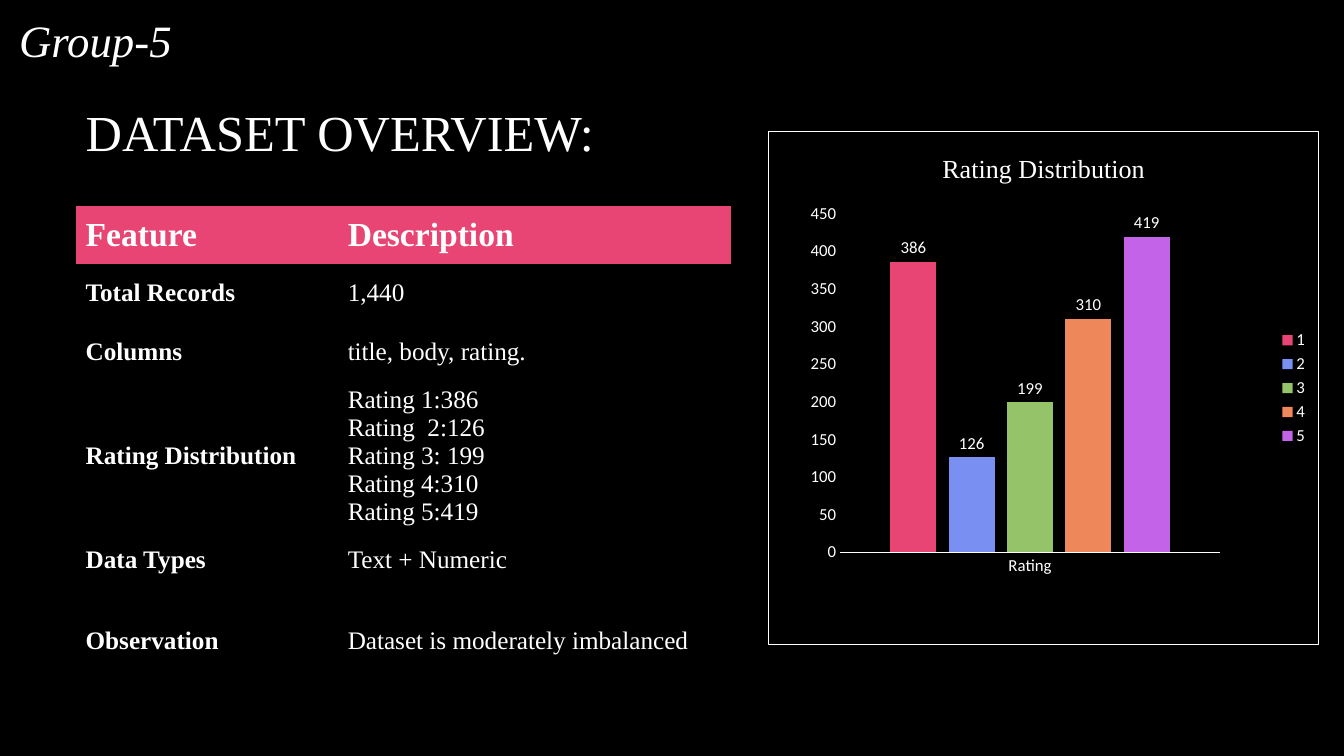
from lxml import etree
from pptx import Presentation
from pptx import util as u
from pptx.chart import data as chart_data
from pptx.dml.color import RGBColor
from pptx.enum import chart as charts, text
from pptx.oxml import parse_xml
from pptx.oxml.ns import nsdecls, qn

COLORS = {
    "background": "000000", "text": "FFFFFF", "header": "E84574",
    "1": "E84574", "2": "798FF2", "3": "95C369", "4": "EE875A", "5": "C363E8",
}
RATINGS = {"1": 386, "2": 126, "3": 199, "4": 310, "5": 419}
FEATURES = [
    ("Feature", "Description"),
    ("Total Records", "1,440"),
    ("Columns", "title, body, rating."),
    ("Rating Distribution",
     "Rating 1:386\vRating  2:126\vRating 3: 199\nRating 4:310\nRating 5:419"),
    ("Data Types", "Text + Numeric"),
    ("Observation", "Dataset is moderately imbalanced"),
]
COLUMN_WIDTHS = [187.2, 280.8]
ROW_HEIGHTS = [41.76, 41.76, 41.76, 104.4, 41.76, 73.44]
PLOT_LAYOUT = {"x": 0.13, "y": 0.16, "w": 0.69, "h": 0.66}
PLAIN_TABLE_STYLE = "{2D5ABB26-0587-4C30-8999-92F81FD0307C}"


def color(name):
    return RGBColor.from_string(COLORS[name])


class SlideBuilder:
    serif = "Times New Roman"
    sans = "Calibri"

    def __init__(self, deck):
        self.page = deck.slides.add_slide(deck.slide_layouts[5])
        fill = self.page.background.fill
        fill.solid()
        fill.fore_color.rgb = color("background")

    def style(self, font, size, family=serif, bold=False, italic=False):
        font.size = u.Pt(size)
        font.name = family
        font.bold = bold
        font.italic = italic
        font.color.rgb = color("text")

    def set_text(self, frame, words, size, **look):
        frame.text = words
        for para in frame.paragraphs:
            para.alignment = text.PP_ALIGN.LEFT
            for span in para.runs:
                self.style(span.font, size, **look)

    def title(self, words, left, top, width, height):
        box = self.page.shapes.title
        box.left, box.top = u.Pt(left), u.Pt(top)
        box.width, box.height = u.Pt(width), u.Pt(height)
        frame = box.text_frame
        frame.vertical_anchor = text.MSO_ANCHOR.MIDDLE
        frame.auto_size = text.MSO_AUTO_SIZE.NONE
        self.set_text(frame, words, 36)

    def label(self, words, left, top, width, height):
        box = self.page.shapes.add_textbox(
            u.Pt(left), u.Pt(top), u.Pt(width), u.Pt(height))
        box.text_frame.word_wrap = True
        box.text_frame.auto_size = text.MSO_AUTO_SIZE.SHAPE_TO_FIT_TEXT
        self.set_text(box.text_frame, words, 32, italic=True)

    def table(self, rows, left, top):
        table = self.page.shapes.add_table(
            len(rows), len(COLUMN_WIDTHS), u.Pt(left), u.Pt(top),
            u.Pt(sum(COLUMN_WIDTHS)), u.Pt(sum(ROW_HEIGHTS))).table
        table.horz_banding = False
        table._tbl.tblPr.find(qn("a:tableStyleId")).text = PLAIN_TABLE_STYLE
        for column, width in zip(table.columns, COLUMN_WIDTHS):
            column.width = u.Pt(width)
        for row, height in zip(table.rows, ROW_HEIGHTS):
            row.height = u.Pt(height)
        for i, row in enumerate(rows):
            for j, words in enumerate(row):
                cell = table.cell(i, j)
                cell.vertical_anchor = text.MSO_ANCHOR.MIDDLE
                if i == 0:
                    cell.fill.solid()
                    cell.fill.fore_color.rgb = color("header")
                else:
                    cell.fill.background()
                self.set_text(cell.text_frame, words, 18 if i else 24,
                              bold=i == 0 or j == 0)

    def column_chart(self, heading, category, values, left, top, width, height):
        source = chart_data.CategoryChartData()
        source.categories = [category]
        for name, value in values.items():
            source.add_series(name, [value])
        chart = self.page.shapes.add_chart(
            charts.XL_CHART_TYPE.COLUMN_CLUSTERED, u.Pt(left), u.Pt(top),
            u.Pt(width), u.Pt(height), source).chart
        self.style(chart.font, 10, self.sans)

        chart.has_title = True
        self.set_text(chart.chart_title.text_frame, heading, 18.6)
        chart.chart_title.text_frame.paragraphs[0].alignment = text.PP_ALIGN.CENTER
        chart.chart_title.include_in_layout = False

        chart.has_legend = True
        chart.legend.position = charts.XL_LEGEND_POSITION.RIGHT
        chart.legend.include_in_layout = False
        self.style(chart.legend.font, 12, self.sans)

        for axis in (chart.category_axis, chart.value_axis):
            axis.has_major_gridlines = False
            axis.major_tick_mark = charts.XL_TICK_MARK.NONE
            axis.minor_tick_mark = charts.XL_TICK_MARK.NONE
            self.style(axis.tick_labels.font, 12, self.sans)
        chart.category_axis.format.line.color.rgb = color("text")
        chart.category_axis.format.line.width = u.Pt(0.75)
        chart.value_axis.format.line.fill.background()
        chart.value_axis.minimum_scale = 0
        chart.value_axis.maximum_scale = 450
        chart.value_axis.major_unit = 50

        plot = chart.plots[0]
        plot.gap_width = 219
        plot.overlap = -27
        plot.vary_by_categories = False
        for series in plot.series:
            series.format.fill.solid()
            series.format.fill.fore_color.rgb = color(series.name)
            labels = series.data_labels
            labels.show_value = True
            labels.position = charts.XL_LABEL_POSITION.OUTSIDE_END
            self.style(labels.font, 12, self.sans)
        self.frame_chart(chart)

    def frame_chart(self, chart):
        """Fix the inner plot area and outline the whole chart."""
        area = chart._chartSpace.find(qn("c:chart"))
        plot_area = area.find(qn("c:plotArea"))
        for old in plot_area.findall(qn("c:layout")):
            plot_area.remove(old)
        layout = etree.Element(qn("c:layout"))
        manual = etree.SubElement(layout, qn("c:manualLayout"))
        settings = {"layoutTarget": "inner", "xMode": "edge", "yMode": "edge",
                    **PLOT_LAYOUT}
        for name, value in settings.items():
            etree.SubElement(manual, qn(f"c:{name}"), val=str(value))
        plot_area.insert(0, layout)
        area.addnext(parse_xml(
            f'<c:spPr {nsdecls("c", "a")}><a:noFill/><a:ln w="{u.Pt(0.75)}">'
            f'<a:solidFill><a:srgbClr val="{COLORS["text"]}"/></a:solidFill>'
            '</a:ln></c:spPr>'))


def main():
    deck = Presentation()
    deck.slide_width, deck.slide_height = u.Pt(960), u.Pt(540)
    slide = SlideBuilder(deck)
    slide.title("DATASET OVERVIEW:", 54, 48.24, 411, 91.44)
    slide.table(FEATURES, 54, 146.88)
    slide.column_chart("Rating Distribution", "Rating", RATINGS,
                       548.64, 93.6, 393.84, 367.2)
    slide.label("Group-5", 6.48, 5.76, 152.64, 46.08)
    deck.save("out.pptx")


if __name__ == "__main__":
    main()
